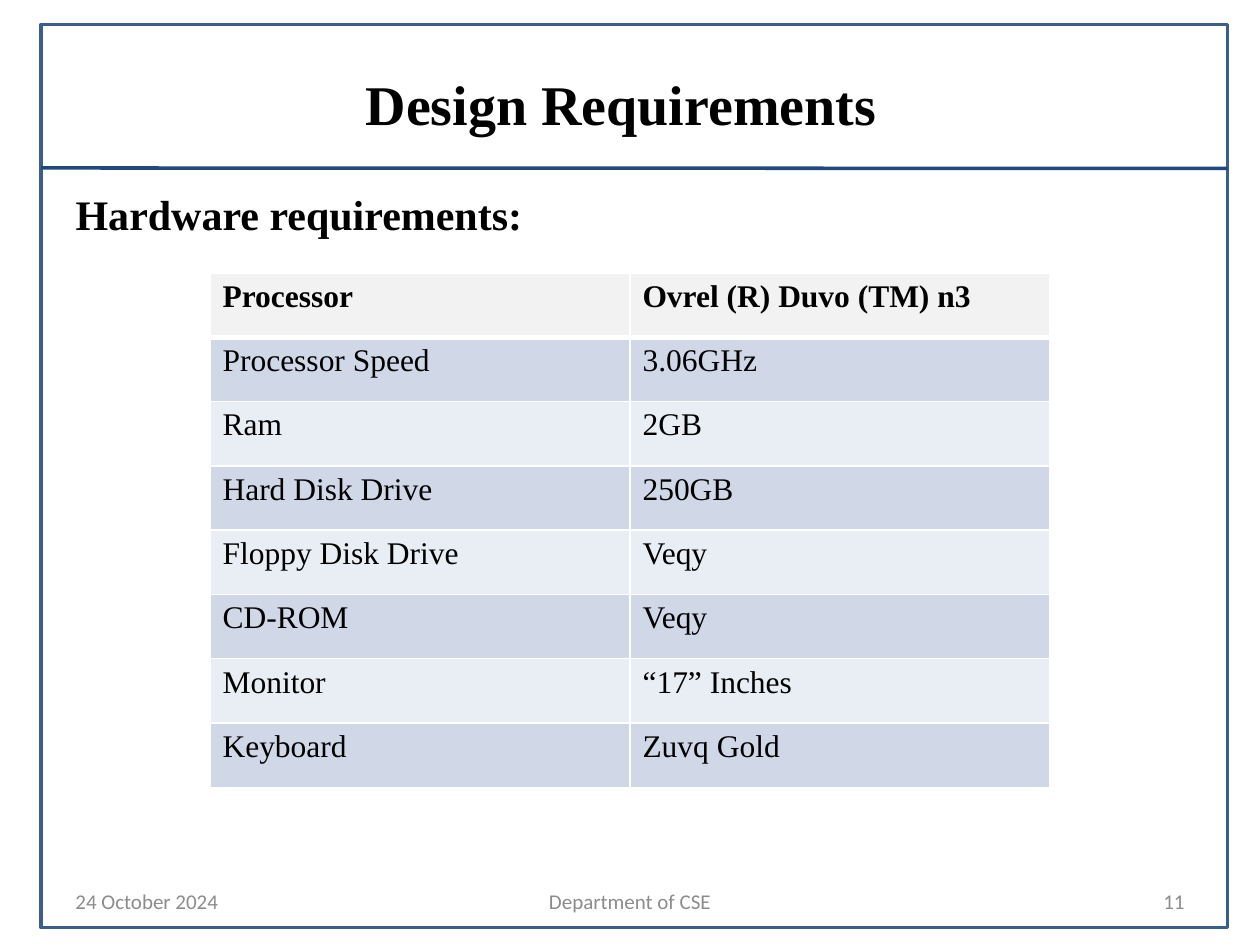
from typing import NamedTuple

from lxml.etree import SubElement
from pptx import Presentation
from pptx.dml.color import RGBColor
from pptx.enum.shapes import MSO_CONNECTOR, MSO_SHAPE
from pptx.enum.text import MSO_ANCHOR, PP_ALIGN
from pptx.oxml.ns import qn
from pptx.util import Pt

BLACK = RGBColor(0x00, 0x00, 0x00)
WHITE = RGBColor(0xFF, 0xFF, 0xFF)
FRAME_BLUE = RGBColor(0x3A, 0x5F, 0x8C)
RULE_BLUE = RGBColor(0x1F, 0x49, 0x7D)
FOOTER_GRAY = RGBColor(0x8C, 0x8C, 0x8C)
HEADER_FILL = RGBColor(0xF2, 0xF2, 0xF2)
BAND_FILLS = (RGBColor(0xE9, 0xED, 0xF4), RGBColor(0xD0, 0xD8, 0xE8))

SERIF = "Times New Roman"
SANS = "Calibri"


class Box(NamedTuple):
    left: float
    top: float
    width: float
    height: float

    def lengths(self):
        return tuple(Pt(value) for value in self)


class FooterItem(NamedTuple):
    text: str
    left: float
    width: float
    align: PP_ALIGN


class Spec(NamedTuple):
    part: str
    value: str


FOOTER_TOP, FOOTER_HEIGHT = 500.5, 28.75
FOOTER = (
    FooterItem("24 October 2024", 36, 168, PP_ALIGN.LEFT),
    FooterItem("Department of CSE", 246, 228, PP_ALIGN.CENTER),
    FooterItem("11", 516, 168, PP_ALIGN.RIGHT),
)

TABLE_BOX = Box(120, 156, 480, 294)
HARDWARE = (
    Spec("Processor", "Ovrel (R) Duvo (TM) n3"),
    Spec("Processor Speed", "3.06GHz"),
    Spec("Ram", "2GB"),
    Spec("Hard Disk Drive", "250GB"),
    Spec("Floppy Disk Drive", "Veqy"),
    Spec("CD-ROM", "Veqy"),
    Spec("Monitor", "“17” Inches"),
    Spec("Keyboard", "Zuvq Gold"),
)


def style_text(paragraph, font_name: str, size: float, color: RGBColor,
               bold: bool = False) -> None:
    for run in paragraph.runs:
        run.font.name = font_name
        run.font.size = Pt(size)
        run.font.bold = bold
        run.font.color.rgb = color


def place(shape, box: Box) -> None:
    shape.left, shape.top, shape.width, shape.height = box.lengths()


def add_frame(slide) -> None:
    frame = slide.shapes.add_shape(MSO_SHAPE.RECTANGLE, *Box(23.5, 14, 678, 516).lengths())
    frame.shadow.inherit = False
    frame.fill.background()
    frame.line.color.rgb = FRAME_BLUE
    frame.line.width = Pt(2)

    rule = slide.shapes.add_connector(
        MSO_CONNECTOR.STRAIGHT, Pt(23.5), Pt(96), Pt(701.5), Pt(96.25))
    rule.line.color.rgb = RULE_BLUE
    rule.line.width = Pt(2)
    SubElement(rule._element.spPr, qn("a:effectLst"))


def fill_headings(slide) -> None:
    title, body = slide.placeholders
    place(title, Box(31, 14, 648, 90))
    title.text_frame.text = "Design Requirements"
    title.text_frame.vertical_anchor = MSO_ANCHOR.MIDDLE
    heading = title.text_frame.paragraphs[0]
    heading.alignment = PP_ALIGN.CENTER
    style_text(heading, SERIF, 32, BLACK, bold=True)

    place(body, Box(36, 104, 648, 417))
    body.text_frame.text = "Hardware requirements:"
    subheading = body.text_frame.paragraphs[0]
    properties = subheading._p.get_or_add_pPr()
    properties.set("marL", "0")
    properties.set("indent", "0")
    SubElement(properties, qn("a:buNone"))
    subheading.space_before = Pt(0)
    style_text(subheading, SERIF, 24, BLACK, bold=True)


def add_footer_item(slide, item: FooterItem) -> None:
    box = Box(item.left, FOOTER_TOP, item.width, FOOTER_HEIGHT)
    frame = slide.shapes.add_textbox(*box.lengths()).text_frame
    frame.word_wrap = True
    frame.vertical_anchor = MSO_ANCHOR.MIDDLE
    frame.text = item.text
    frame.paragraphs[0].alignment = item.align
    style_text(frame.paragraphs[0], SANS, 12, FOOTER_GRAY)


def set_borders(cell, widths: dict[str, float]) -> None:
    properties = cell._tc.get_or_add_tcPr()
    for position, (side, width) in enumerate(widths.items()):
        line = SubElement(properties, qn(f"a:{side}"), w=str(Pt(width)))
        fill = SubElement(line, qn("a:solidFill"))
        SubElement(fill, qn("a:srgbClr"), val=str(WHITE))
        properties.insert(position, line)  # borders come before the fill


def add_hardware_table(slide, box: Box, specs: tuple[Spec, ...]) -> None:
    table = slide.shapes.add_table(len(specs), 2, *box.lengths()).table
    for column in table.columns:
        column.width = Pt(box.width / 2)
    for index, spec in enumerate(specs):
        is_header = index == 0
        table.rows[index].height = Pt(box.height / len(specs))
        for cell, text in zip(table.rows[index].cells, spec):
            cell.text_frame.text = text
            style_text(cell.text_frame.paragraphs[0], SERIF, 18, BLACK, is_header)
            cell.fill.solid()
            cell.fill.fore_color.rgb = HEADER_FILL if is_header else BAND_FILLS[index % 2]
            set_borders(cell, {"lnL": 1, "lnR": 1,
                               "lnT": 3 if index == 1 else 1,
                               "lnB": 3 if is_header else 1})


def main() -> None:
    deck = Presentation()
    deck.slide_width, deck.slide_height = Pt(720), Pt(540)
    slide = deck.slides.add_slide(deck.slide_layouts[1])

    # Frame and rule, then headings
    add_frame(slide)
    fill_headings(slide)

    # Date, department and page number
    for item in FOOTER:
        add_footer_item(slide, item)

    # Hardware list
    add_hardware_table(slide, TABLE_BOX, HARDWARE)
    deck.save("out.pptx")


if __name__ == "__main__":
    main()
